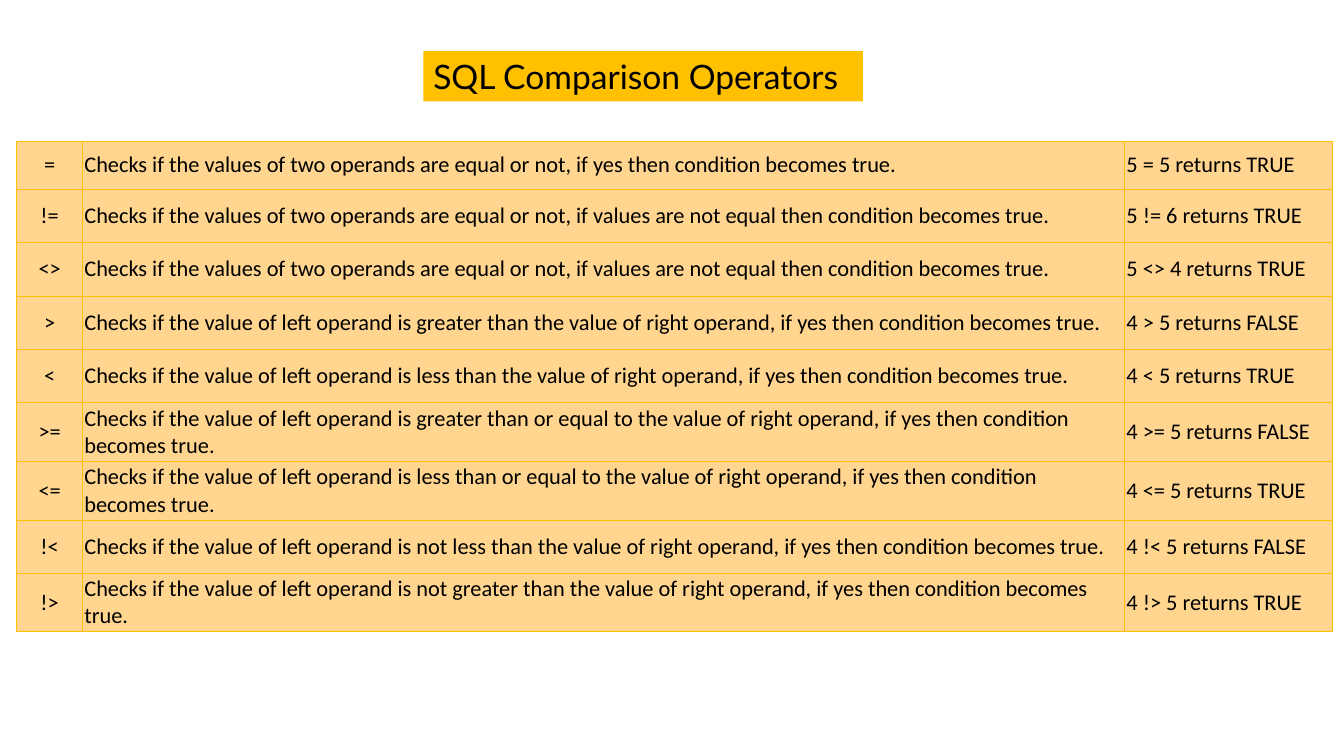
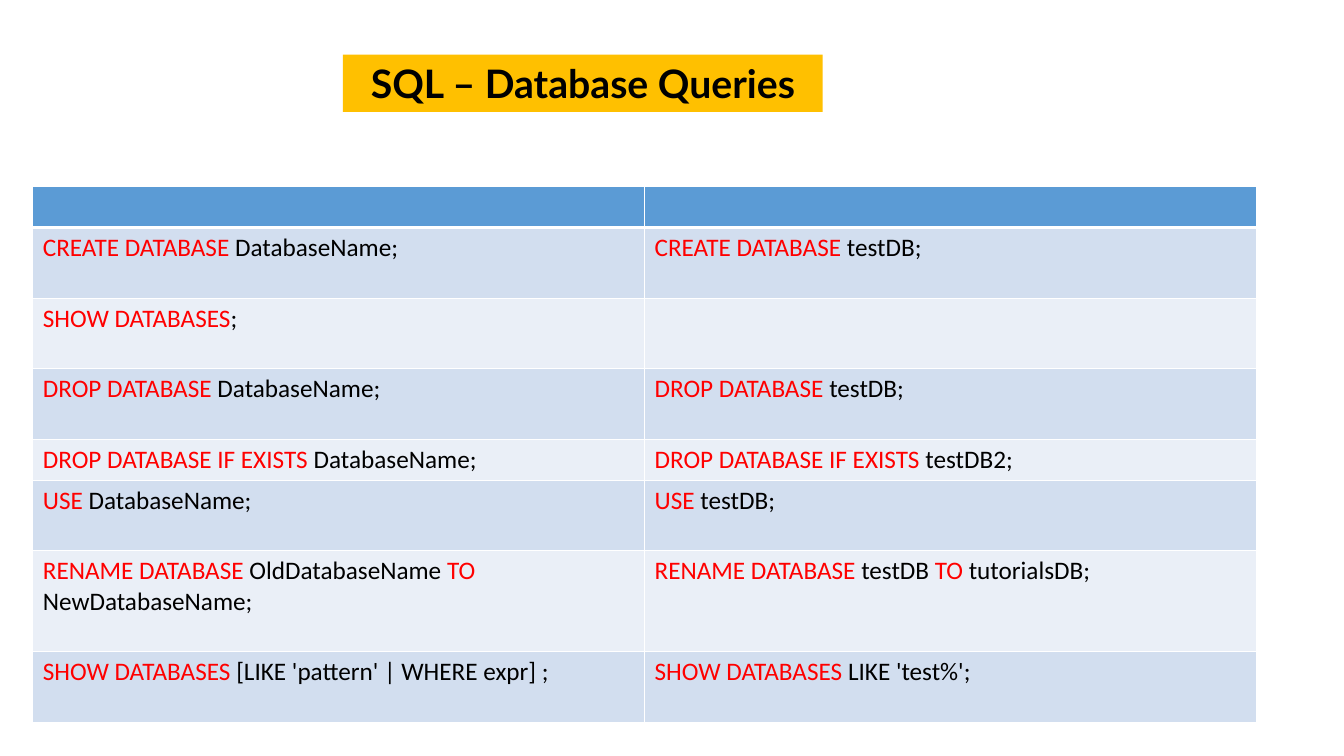
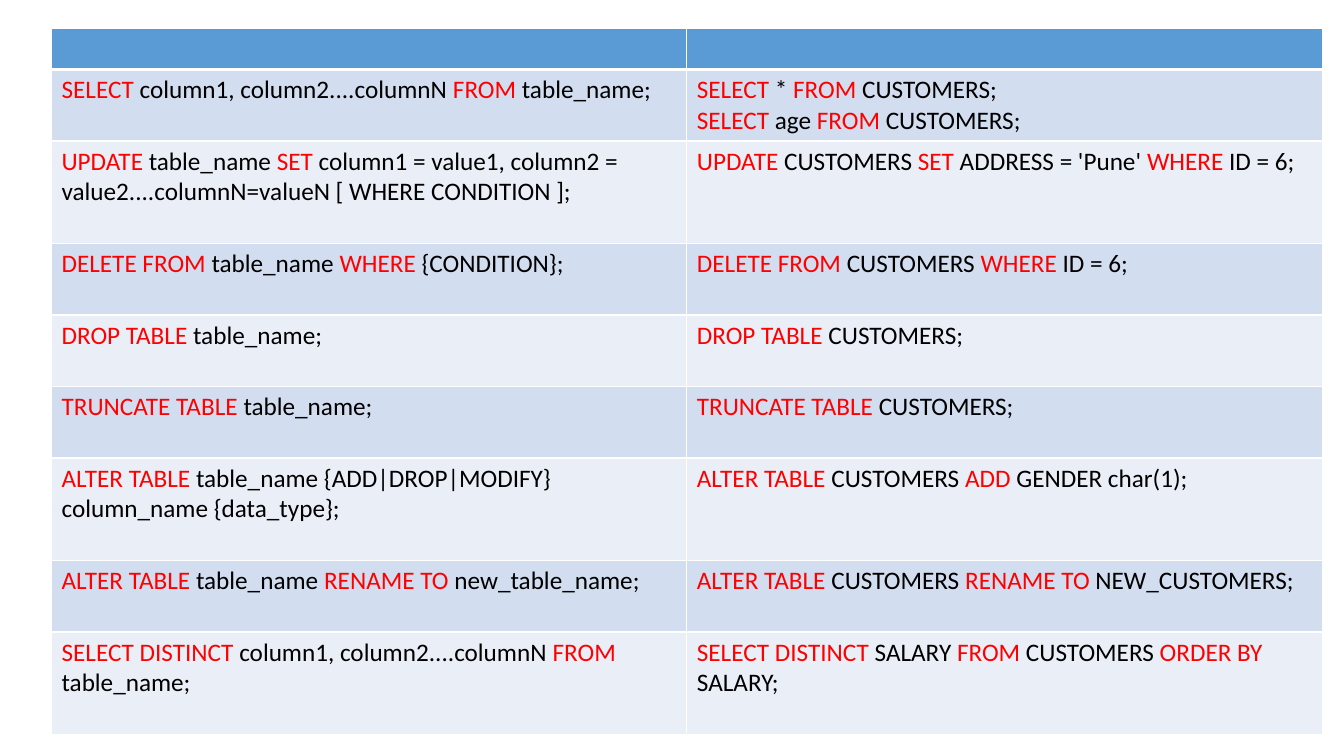
from dataclasses import dataclass

from lxml import etree
from pptx import Presentation
from pptx.dml.color import RGBColor
from pptx.enum.shapes import MSO_SHAPE
from pptx.enum.text import MSO_ANCHOR, PP_ALIGN
from pptx.oxml.ns import qn
from pptx.util import Pt

RECTANGLE = MSO_SHAPE.RECTANGLE
LEFT, CENTER = PP_ALIGN.LEFT, PP_ALIGN.CENTER
TOP, MIDDLE = MSO_ANCHOR.TOP, MSO_ANCHOR.MIDDLE


@dataclass(frozen=True)
class Theme:
    title_font: str = "Lato"
    body_font: str = "Calibri"
    text: str = "000000"
    keyword: str = "FF0000"
    accent: str = "FFC000"
    operator_fill: str = "FFD58F"
    header_fill: str = "5B9BD5"
    bands: tuple = ("D2DEEF", "EAEFF7")
    grid: str = "FFFFFF"
    title_size: int = 24
    large_title_size: int = 28
    operator_size: int = 16
    query_size: int = 18


THEME = Theme()


def write_text(frame, text, *, font, size, bold=False, align=LEFT):
    for index, line in enumerate(text.split("\n")):
        paragraph = frame.add_paragraph() if index else frame.paragraphs[0]
        paragraph.alignment = align
        paragraph.font.size = Pt(size)
        for position, part in enumerate(line.split("`")):
            if part:
                run = paragraph.add_run()
                run.text = part
                run.font.name = font
                run.font.size = Pt(size)
                run.font.bold = bold
                color = THEME.keyword if position % 2 else THEME.text
                run.font.color.rgb = RGBColor.from_string(color)


def set_borders(cell, color, widths):
    properties = cell._tc.get_or_add_tcPr()
    for side, width in zip("LRTB", widths):
        line = etree.SubElement(properties, qn(f"a:ln{side}"), w=str(Pt(width)))
        fill = etree.SubElement(line, qn("a:solidFill"))
        etree.SubElement(fill, qn("a:srgbClr"), val=color)


class Deck:
    def __init__(self, theme):
        self.theme = theme
        self.presentation = Presentation()
        self.presentation.slide_width = Pt(960)
        self.presentation.slide_height = Pt(540)
        self.slide = None

    def add_slide(self):
        self.slide = self.presentation.slides.add_slide(self.presentation.slide_layouts[6])

    def title(self, text, left, top, width, height, **text_format):
        shape = self.slide.shapes.add_shape(RECTANGLE, Pt(left), Pt(top), Pt(width), Pt(height))
        shape.shadow.inherit = False
        shape.fill.solid()
        shape.fill.fore_color.rgb = RGBColor.from_string(self.theme.accent)
        shape.line.fill.background()
        shape.text_frame.word_wrap = True
        write_text(shape.text_frame, text, font=self.theme.title_font, **text_format)

    def table(self, left, top, widths, heights):
        table = self.slide.shapes.add_table(
            len(heights), len(widths), Pt(left), Pt(top), Pt(sum(widths)), Pt(sum(heights))
        ).table
        table.first_row = table.horz_banding = False
        for column, width in zip(table.columns, widths):
            column.width = Pt(width)
        for row, height in zip(table.rows, heights):
            row.height = Pt(height)
        return table

    def cell(self, cell, text, *, fill, border, border_widths, size, align=LEFT, anchor=TOP, margin=None):
        set_borders(cell, border, border_widths)
        cell.fill.solid()
        cell.fill.fore_color.rgb = RGBColor.from_string(fill)
        cell.vertical_anchor = anchor
        if margin is not None:
            cell.margin_left = cell.margin_right = Pt(margin)
            cell.margin_top = cell.margin_bottom = Pt(margin)
        write_text(cell.text_frame, text, font=self.theme.body_font, size=size, align=align)

    def operator_table(self, rows, left, top, widths, heights):
        table = self.table(left, top, widths, heights)
        for row_index, (operator, condition, example) in enumerate(rows):
            texts = (operator, f"Checks if the {condition} then condition becomes true.", example)
            for column_index, text in enumerate(texts):
                self.cell(
                    table.cell(row_index, column_index), text,
                    fill=self.theme.operator_fill, border=self.theme.accent,
                    border_widths=(0.5,) * 4, size=self.theme.operator_size,
                    align=LEFT if column_index else CENTER, anchor=MIDDLE, margin=1.3,
                )

    def query_table(self, rows, left, top, column_width, heights):
        table = self.table(left, top, (column_width,) * 2, heights)
        for row_index, texts in enumerate([("", ""), *rows]):
            fill = self.theme.bands[(row_index - 1) % 2] if row_index else self.theme.header_fill
            border_widths = (1, 1, 3 if row_index == 1 else 1, 1 if row_index else 3)
            for column_index, text in enumerate(texts):
                self.cell(
                    table.cell(row_index, column_index), text, fill=fill,
                    border=self.theme.grid, border_widths=border_widths, size=self.theme.query_size,
                )


TWO_VALUES = "values of two operands are equal or not, if"
LEFT_VALUE = "value of left operand is"
RIGHT_VALUE = "the value of right operand, if yes"

OPERATORS = [
    ("=", f"{TWO_VALUES} yes", "5 = 5 returns TRUE"),
    ("!=", f"{TWO_VALUES} values are not equal", "5 != 6 returns TRUE"),
    ("<>", f"{TWO_VALUES} values are not equal", "5 <> 4 returns TRUE"),
    (">", f"{LEFT_VALUE} greater than {RIGHT_VALUE}", "4 > 5 returns FALSE"),
    ("<", f"{LEFT_VALUE} less than {RIGHT_VALUE}", "4 < 5 returns TRUE"),
    (">=", f"{LEFT_VALUE} greater than or equal to {RIGHT_VALUE}", "4 >= 5 returns FALSE"),
    ("<=", f"{LEFT_VALUE} less than or equal to {RIGHT_VALUE}", "4 <= 5 returns TRUE"),
    ("!<", f"{LEFT_VALUE} not less than {RIGHT_VALUE}", "4 !< 5 returns FALSE"),
    ("!>", f"{LEFT_VALUE} not greater than {RIGHT_VALUE}", "4 !> 5 returns TRUE"),
]

DATABASE_QUERIES = [
    ("`CREATE DATABASE `DatabaseName;", "`CREATE DATABASE `testDB;"),
    ("`SHOW DATABASES`;", ""),
    ("`DROP DATABASE `DatabaseName;", "`DROP DATABASE `testDB;"),
    ("`DROP DATABASE IF EXISTS `DatabaseName;", "`DROP DATABASE IF EXISTS `testDB2;"),
    ("`USE `DatabaseName;", "`USE `testDB;"),
    ("`RENAME DATABASE `OldDatabaseName `TO `NewDatabaseName;",
     "`RENAME DATABASE `testDB `TO` tutorialsDB;"),
    ("`SHOW DATABASES `[LIKE 'pattern' | WHERE expr] ;", "`SHOW DATABASES `LIKE 'test%';"),
]

TABLE_QUERIES = [
    ("`SELECT` column1, column2....columnN `FROM `table_name;",
     "`SELECT `* `FROM` CUSTOMERS;\n`SELECT `age `FROM` CUSTOMERS;"),
    ("`UPDATE `table_name `SET` column1 = value1, column2 = value2....columnN=valueN [ WHERE CONDITION ];",
     "`UPDATE` CUSTOMERS `SET` ADDRESS = 'Pune' `WHERE` ID = 6;"),
    ("`DELETE FROM `table_name `WHERE` {CONDITION};", "`DELETE FROM `CUSTOMERS `WHERE` ID = 6;"),
    ("`DROP TABLE `table_name;", "`DROP TABLE `CUSTOMERS;"),
    ("`TRUNCATE TABLE `table_name;", "`TRUNCATE TABLE `CUSTOMERS;"),
    ("`ALTER TABLE `table_name {ADD|DROP|MODIFY} column_name {data_type};",
     "`ALTER TABLE `CUSTOMERS `ADD` GENDER char(1);"),
    ("`ALTER TABLE `table_name `RENAME TO `new_table_name;",
     "`ALTER TABLE `CUSTOMERS `RENAME TO `NEW_CUSTOMERS;"),
    ("`SELECT DISTINCT `column1, column2....columnN `FROM `table_name;",
     "`SELECT DISTINCT `SALARY `FROM` CUSTOMERS `ORDER BY `SALARY;"),
]


def main():
    deck = Deck(THEME)

    deck.add_slide()
    deck.title("SQL Comparison Operators", 302.4, 36.5, 314, 36, size=THEME.title_size)
    deck.operator_table(
        OPERATORS, 12, 101.2, (47, 744.4, 148.4), (33.8, *(38.2,) * 4, 42, 41, 38.2, 41)
    )

    deck.add_slide()
    deck.title("SQL – Database Queries", 245, 39, 342.7, 41,
               size=THEME.large_title_size, bold=True, align=CENTER)
    deck.query_table(
        DATABASE_QUERIES, 23.4, 133.4, 437, (29.2, *(50.4,) * 3, 29.2, 50.4, 72, 50.4)
    )

    deck.add_slide()
    deck.query_table(
        TABLE_QUERIES, 36.8, 20.4, 453.8, (29.2, 51, 73.2, *(51.1,) * 3, 73.2, 51.1, 73.2)
    )

    deck.presentation.save("out.pptx")


if __name__ == "__main__":
    main()
